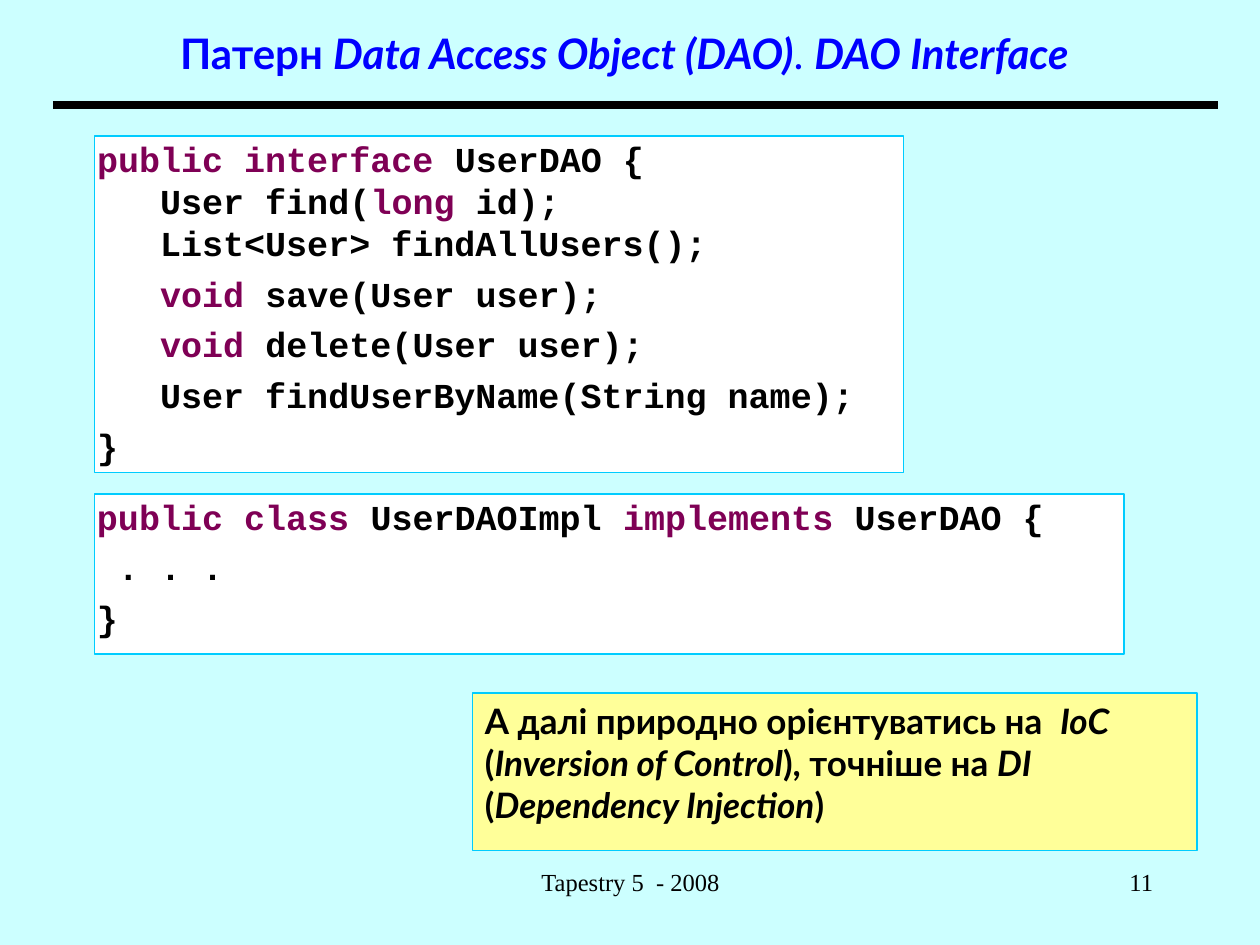
from dataclasses import dataclass
from typing import NamedTuple, Optional

from lxml import etree
from pptx import Presentation
from pptx.dml.color import RGBColor
from pptx.enum import shapes, text
from pptx.oxml.ns import qn
from pptx.util import Inches, Pt


# Theme: colours, fonts and sizes
@dataclass(frozen=True)
class Theme:
    background: str = "CCFFFF"
    title: str = "0000FF"
    ink: str = "000000"
    keyword: str = "7F0055"
    paper: str = "FFFFFF"
    note: str = "FFFF99"
    border: str = "00CCFF"
    sans: str = "Lato"
    mono: str = "Courier New"
    serif: str = "Times New Roman"
    title_size: int = 24
    body_size: int = 20
    footer_size: int = 14
    paragraph_gap: int = 5


THEME = Theme()


class Style(NamedTuple):
    font: str
    size: int
    color: str
    bold: bool = True
    italic: bool = False


class Span(NamedTuple):
    words: str
    style: Style


class Area(NamedTuple):
    left: float
    top: float
    width: float
    height: float


class Margins(NamedTuple):
    left: float = 0.1
    top: float = 0.05
    right: float = 0.1
    bottom: float = 0.05


@dataclass(frozen=True)
class Block:
    area: Area
    paragraphs: list[list[Span]]
    fill: Optional[str] = None
    margins: Margins = Margins()
    align: text.PP_ALIGN = text.PP_ALIGN.LEFT
    anchor: text.MSO_ANCHOR = text.MSO_ANCHOR.TOP


HEADING = Style(THEME.sans, THEME.title_size, THEME.title)
HEADING_ITALIC = HEADING._replace(italic=True)
HEADING_LIGHT = HEADING._replace(bold=False)
CODE = Style(THEME.mono, THEME.body_size, THEME.ink)
KEYWORD = CODE._replace(color=THEME.keyword)
NOTE = Style(THEME.sans, THEME.body_size, THEME.ink)
TERM = NOTE._replace(italic=True)
FOOTER = Style(THEME.serif, THEME.footer_size, THEME.ink, bold=False)
CODE_MARGINS = Margins(0.02, 0.01, 0, 0.01)

# Content
TITLE = Block(
    Area(0.33, 0, 9.25, 0.83),
    [[Span("Патерн ", HEADING), Span("Data Access Object (DAO)", HEADING_ITALIC),
      Span(". ", HEADING_LIGHT), Span("DAO Interface", HEADING_ITALIC)]],
    align=text.PP_ALIGN.CENTER, anchor=text.MSO_ANCHOR.MIDDLE)

INTERFACE_CODE = Block(
    Area(0.75, 1.08, 6.42, 2.67),
    [[Span("public interface", KEYWORD), Span(" UserDAO {\n   User find(", CODE),
      Span("long", KEYWORD), Span(" id);\n   List<User> findAllUsers();", CODE)],
     [Span("   void", KEYWORD), Span(" save(User user);", CODE)],
     [Span("   void", KEYWORD), Span(" delete(User user);", CODE)],
     [Span("   User findUserByName(String name);", CODE)],
     [Span("}", CODE)]],
    THEME.paper, CODE_MARGINS)

CLASS_CODE = Block(
    Area(0.75, 3.92, 8.17, 1.27),
    [[Span("public class", KEYWORD), Span(" UserDAOImpl ", CODE),
      Span("implements", KEYWORD), Span(" UserDAO {", CODE)],
     [Span(" . . .", CODE)],
     [Span("}", CODE)]],
    THEME.paper, CODE_MARGINS)

IOC_NOTE = Block(
    Area(3.75, 5.5, 5.75, 1.25),
    [[Span("А далі природно орієнтуватись на  ", NOTE), Span("IoC ", TERM),
      Span("(", NOTE), Span("Inversion of Control", TERM),
      Span("), точніше на ", NOTE), Span("DI", TERM), Span(" (", NOTE),
      Span("Dependency Injection", TERM), Span(")", NOTE)]],
    THEME.note)

FOOTER_TEXT = Block(Area(3.42, 6.83, 3.17, 0.5),
                    [[Span("Tapestry 5  - 2008", FOOTER)]],
                    align=text.PP_ALIGN.CENTER)
PAGE_NUMBER = Block(Area(7.17, 6.83, 2.08, 0.5), [[Span("11", FOOTER)]],
                    align=text.PP_ALIGN.RIGHT)


def color(value: str) -> RGBColor:
    return RGBColor.from_string(value)


def add_span(para, span: Span) -> None:
    """Write one styled span, with line breaks at its newlines."""
    for index, line in enumerate(span.words.split("\n")):
        if index:
            para.add_line_break()
        run = para.add_run()
        run.text = line
        font = run.font
        font.name, font.size = span.style.font, Pt(span.style.size)
        font.bold, font.italic = span.style.bold, span.style.italic
        font.color.rgb = color(span.style.color)


def add_block(page, block: Block) -> None:
    """Draw a text box, or a bordered rectangle when a fill is given."""
    area = [Inches(length) for length in block.area]
    if block.fill:
        box = page.shapes.add_shape(shapes.MSO_SHAPE.RECTANGLE, *area)
        box.shadow.inherit = False
        box.fill.solid()
        box.fill.fore_color.rgb = color(block.fill)
        box.line.color.rgb = color(THEME.border)
        box.line.width = Pt(1)
    else:
        box = page.shapes.add_textbox(*area)

    frame = box.text_frame
    frame.word_wrap = True
    frame.vertical_anchor = block.anchor
    (frame.margin_left, frame.margin_top, frame.margin_right,
     frame.margin_bottom) = [Inches(length) for length in block.margins]

    for index, spans in enumerate(block.paragraphs):
        para = frame.add_paragraph() if index else frame.paragraphs[0]
        para.alignment = block.align
        if index:
            para.space_before = Pt(THEME.paragraph_gap)
        for span in spans:
            add_span(para, span)


def add_rule(page, left: float, right: float, top: float) -> None:
    """Draw the thick horizontal rule below the title."""
    rule = page.shapes.add_connector(
        shapes.MSO_CONNECTOR.STRAIGHT,
        Inches(left), Inches(top), Inches(right), Inches(top))
    rule.line.color.rgb = color(THEME.ink)
    rule.line.width = Pt(4.5)
    etree.SubElement(rule._element.spPr, qn("a:effectLst"))


def main() -> None:
    deck = Presentation()
    deck.slide_width, deck.slide_height = Inches(10), Inches(7.5)
    page = deck.slides.add_slide(deck.slide_layouts[6])
    page.background.fill.solid()
    page.background.fill.fore_color.rgb = color(THEME.background)

    # Title and rule
    add_block(page, TITLE)
    add_rule(page, 0.42, 9.67, 0.83)

    # Code, note and footer
    for block in (INTERFACE_CODE, CLASS_CODE, IOC_NOTE, FOOTER_TEXT, PAGE_NUMBER):
        add_block(page, block)

    deck.save("out.pptx")


if __name__ == "__main__":
    main()
